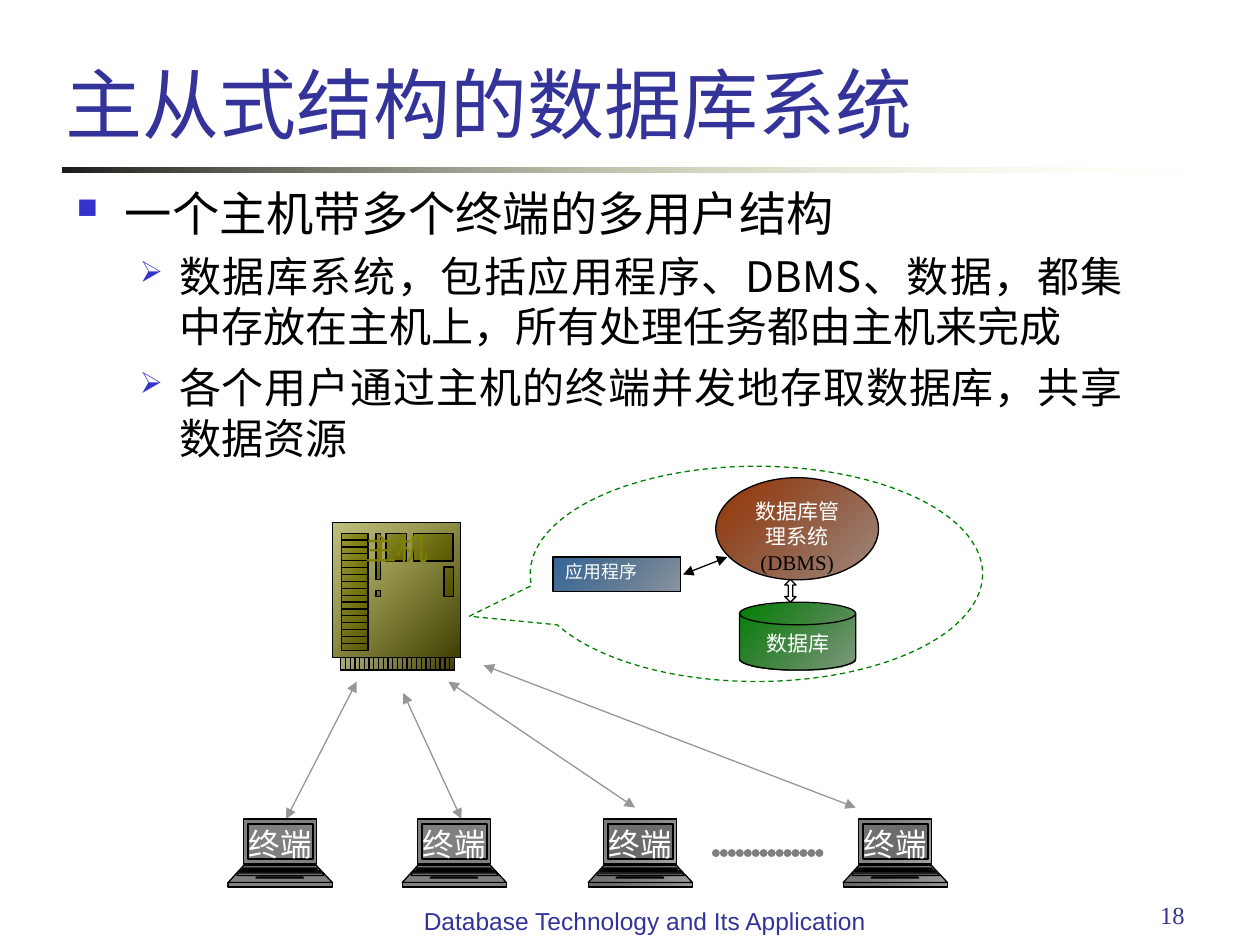
from dataclasses import dataclass

from lxml.etree import SubElement
from pptx import Presentation
from pptx.dml.color import RGBColor
from pptx.enum.dml import MSO_LINE_DASH_STYLE as Dash
from pptx.enum.shapes import MSO_CONNECTOR as Connector, MSO_SHAPE as Shape
from pptx.enum.text import MSO_ANCHOR as Anchor, PP_ALIGN as Align
from pptx.oxml.ns import qn
from pptx.util import Cm, Pt


@dataclass(frozen=True)
class Theme:
    sans: str = "Noto Sans CJK SC"
    serif: str = "Times New Roman"
    footer_font: str = "Arial"
    heading: str = "333399"
    bullet: str = "3333CC"
    black: str = "000000"
    white: str = "FFFFFF"
    olive: str = "808000"
    green: str = "008000"
    gray: str = "808080"
    link: str = "969696"
    title_size: float = 44
    body_size: float = 27
    detail_size: float = 24
    device_size: float = 18
    footer_size: float = 14
    label_size: float = 12
    small_size: float = 10.2
    line_width: float = 0.75
    # Gradients: (colour, opacity in percent) at each end
    rule: tuple = (("1C1C1C", 100), ("FFFFB7", 0))
    host: tuple = (("808000", 50), ("3B3B00", 100))
    database: tuple = (("008000", 100), ("003B00", 50))
    manager: tuple = (("993300", 100), ("471800", 50))
    program: tuple = (("336699", 100), ("182F47", 50))
    terminal: tuple = (("808080", 100), ("3B3B3B", 50))


def apply(target, values):
    for name, value in values.items():
        setattr(target, name, value)


def quad(top_left, top_right, bottom_left, bottom_right, top, bottom):
    return [(top_left, top), (top_right, top), (bottom_right, bottom), (bottom_left, bottom)]


def box(left, top, right, bottom):
    return quad(left, right, left, right, top, bottom)


class SlideBuilder:
    def __init__(self, slide, theme):
        self.slide, self.theme = slide, theme

    def fill(self, shape, paint, angle=315):
        if isinstance(paint, str):
            shape.fill.solid()
            shape.fill.fore_color.rgb = RGBColor.from_string(paint)
            return
        shape.fill.gradient()
        shape.fill.gradient_angle = angle
        for stop, (color, opacity) in zip(shape.fill.gradient_stops, paint):
            stop.color.rgb = RGBColor.from_string(color)
            if opacity < 100:
                color_node = stop.color._xFill.find(qn("a:srgbClr"))
                SubElement(color_node, qn("a:alpha"), val=str(opacity * 1000))

    def outline(self, shape, color, **values):
        if color is None:
            shape.line.fill.background()
            return
        shape.line.color.rgb = RGBColor.from_string(color)
        apply(shape.line, {"width": Pt(self.theme.line_width), **values})

    def run(self, paragraph, text, size, color, font):
        run = paragraph.add_run()
        run.text = text
        apply(run.font, {"size": Pt(size), "name": font})
        run.font.color.rgb = RGBColor.from_string(color)
        SubElement(run._r.get_or_add_rPr(), qn("a:ea"), typeface=self.theme.sans)

    def text(self, shape, runs, size, font=None, anchor=Anchor.TOP, **values):
        apply(shape.text_frame, {"word_wrap": True, "vertical_anchor": anchor})
        paragraph = shape.text_frame.paragraphs[0]
        apply(paragraph, {"alignment": Align.CENTER, **values})
        for text, color in runs:
            self.run(paragraph, text, size, color, font or self.theme.serif)

    def text_box(self, bounds, text, size, font, **values):
        shape = self.slide.shapes.add_textbox(*map(Cm, bounds))
        self.text(shape, [(text, self.theme.heading)], size, font, **values)

    def bullets(self, bounds, items):
        frame = self.slide.shapes.add_textbox(*map(Cm, bounds)).text_frame
        frame.word_wrap = True
        for index, (text, size, symbol, percent, margin, indent, values) in enumerate(items):
            paragraph = frame.add_paragraph() if index else frame.paragraphs[0]
            apply(paragraph, {"alignment": Align.JUSTIFY, **values})
            self.run(paragraph, text, size, self.theme.black, self.theme.sans)
            properties = paragraph._p.get_or_add_pPr()
            apply_margin = {"marL": Cm(margin), "indent": Cm(-indent)}
            for name, value in apply_margin.items():
                properties.set(name, str(int(value)))
            color = SubElement(properties, qn("a:buClr"))
            SubElement(color, qn("a:srgbClr"), val=self.theme.bullet)
            SubElement(properties, qn("a:buSzPct"), val=str(percent * 1000))
            SubElement(properties, qn("a:buChar"), char=symbol)

    def shape(self, kind, bounds, paint, line=Theme.black, angle=315, adjust=(), **values):
        shape = self.slide.shapes.add_shape(kind, *map(Cm, bounds))
        shape.shadow.inherit = False
        for index, value in enumerate(adjust):
            shape.adjustments[index] = value
        self.fill(shape, paint, angle)
        self.outline(shape, line, **values)
        return shape

    def device(self, contours, paint, label, color, left=0, top=0):
        """Draw each contour as its own filled part of one outline shape."""
        points = [[(Cm(x), Cm(y)) for x, y in contour] for contour in contours]
        builder = self.slide.shapes.build_freeform(*points[0][0], scale=1.0)
        builder.add_line_segments(points[0][1:], close=True)
        for contour in points[1:]:
            builder.move_to(*contour[0])
            builder.add_line_segments(contour[1:], close=True)
        shape = builder.convert_to_shape(Cm(left), Cm(top))
        combined = next(shape._element.iter(qn("a:path")))
        part = None
        for step in list(combined):
            if step.tag == qn("a:moveTo"):
                part = SubElement(combined.getparent(), qn("a:path"), dict(combined.attrib))
            part.append(step)
        combined.getparent().remove(combined)
        shape.shadow.inherit = False
        self.fill(shape, paint)
        self.outline(shape, self.theme.black)
        self.text(shape, [(label, color)], self.theme.device_size)

    def line(self, start, end, color, arrows=True, **values):
        connector = self.slide.shapes.add_connector(Connector.STRAIGHT, *map(Cm, start + end))
        self.outline(connector, color, **values)
        line = connector.line._get_or_add_ln()
        if arrows:
            for tag in ("a:headEnd", "a:tailEnd"):
                SubElement(line, qn(tag), type="triangle")
        else:
            line.set("cap", "rnd")
            dash = SubElement(line, qn("a:custDash"))
            SubElement(dash, qn("a:ds"), d="1000", sp="100000")
            SubElement(line, qn("a:round"))
        SubElement(connector._element.spPr, qn("a:effectLst"))


def main():
    theme = Theme()
    presentation = Presentation()
    apply(presentation, {"slide_width": Cm(25.4), "slide_height": Cm(19.05)})
    slide = presentation.slides.add_slide(presentation.slide_layouts[6])
    builder = SlideBuilder(slide, theme)

    # Title, rule and footer
    builder.shape(Shape.RECTANGLE, (1.27, 3.38, 22.86, 0.1), theme.rule, None, angle=0)
    builder.text_box((1.07, 1.4, 22.3, 1.73), "主从式结构的数据库系统", theme.title_size,
                     theme.sans, anchor=Anchor.BOTTOM, alignment=Align.LEFT)
    builder.text_box((18.21, 18.01, 5.92, 1.32), "18", theme.footer_size, theme.serif,
                     alignment=Align.RIGHT)
    builder.text_box((8.1, 18.14, 9.8, 1.32), "Database Technology and Its Application",
                     theme.footer_size, theme.footer_font)

    # Bullets
    detail = (theme.detail_size, "➢", 70, 2.06, 0.79,
              {"level": 1, "line_spacing": 1.0, "space_before": Pt(6)})
    builder.bullets((1.3, 3.91, 21.59, 5.99), [
        ("一个主机带多个终端的多用户结构", theme.body_size, "■", 60, 0.97, 0.97,
         {"line_spacing": 0.7, "space_before": Pt(6.8)}),
        ("数据库系统，包括应用程序、DBMS、数据，都集中存放在主机上，所有处理任务都由主机来完成", *detail),
        ("各个用户通过主机的终端并发地存取数据库，共享数据资源", *detail)])

    # Host: case, base, drive slots, panels and base fins
    panels = [box(7.58, 10.75, 7.67, 11.68), box(7.58, 11.91, 7.67, 12.02),
              box(7.78, 10.75, 8.2, 11.31), box(8.33, 10.75, 9.13, 11.31),
              box(8.95, 11.43, 9.14, 12.03)]
    slot_height = (13.11 - 10.75) / 17
    slots = [box(6.89, 10.75 + row * slot_height, 7.42, 10.75 + (row + 1) * slot_height)
             for row in range(17)]
    fin_gap = (9.16 - 6.87) / 24
    fins = [[(6.87 + fin * fin_gap, 13.26), (6.87 + fin * fin_gap, 13.51)]
            for fin in range(1, 24)]
    builder.device([box(6.71, 10.54, 9.29, 13.26), box(6.87, 13.26, 9.16, 13.51),
                    *slots, *panels, *fins], theme.host, "主机", theme.olive)

    # Callout with the software on the host
    builder.shape(Shape.OVAL_CALLOUT, (10.69, 9.4, 9.12, 4.34), theme.white, theme.green,
                  adjust=(-0.635, 0.197), dash_style=Dash.DASH)
    database = builder.shape(Shape.FLOWCHART_MAGNETIC_DISK, (14.91, 12.14, 2.34, 1.37), theme.database)
    builder.text(database, [("数据库", theme.white)], theme.label_size)
    manager = builder.shape(Shape.OVAL, (14.43, 9.63, 3.28, 2.06), theme.manager)
    builder.text(manager, [("数据库管理系统", theme.white), ("(DBMS)", theme.black)], theme.label_size)
    program = builder.shape(Shape.RECTANGLE, (11.15, 11.23, 2.57, 0.69), theme.program)
    builder.text(program, [("应用程序", theme.white)], theme.small_size,
                 alignment=Align.JUSTIFY, line_spacing=0.9)
    builder.line((13.77, 11.58), (14.66, 11.23), theme.black)
    builder.shape(Shape.UP_DOWN_ARROW, (15.82, 11.68, 0.23, 0.46), theme.white, adjust=(0.5, 0.393))

    # Terminals: lid, screen, deck, front edge and key rows
    terminal = [box(0.31, 0, 1.78, 0.91), quad(0.31, 1.78, 0, 2.1, 0.94, 1.28),
                box(0, 1.28, 2.1, 1.37), box(0.4, 0.1, 1.71, 0.81),
                quad(0.31, 1.78, 0.28, 1.8, 0.99, 1.02), quad(0.59, 1.5, 0.56, 1.52, 1.17, 1.19),
                quad(0.25, 1.84, 0.23, 1.88, 1.04, 1.07), quad(0.2, 1.9, 0.18, 1.93, 1.09, 1.14)]
    for left, paint, start, end in [
            (4.6, theme.gray, (7.19, 13.74), (5.77, 16.51)),
            (8.11, theme.gray, (8.13, 13.97), (9.3, 16.51)),
            (11.86, theme.terminal, (9.04, 13.74), (12.8, 16.28)),
            (17.0, theme.terminal, (9.75, 13.41), (17.25, 16.28))]:
        builder.line(start, end, theme.link)
        builder.device(terminal, paint, "终端", theme.white, left, 16.51)
    builder.line((14.43, 17.2), (16.54, 17.2), theme.gray, arrows=False, width=Pt(4.5))

    presentation.save("out.pptx")


if __name__ == "__main__":
    main()
